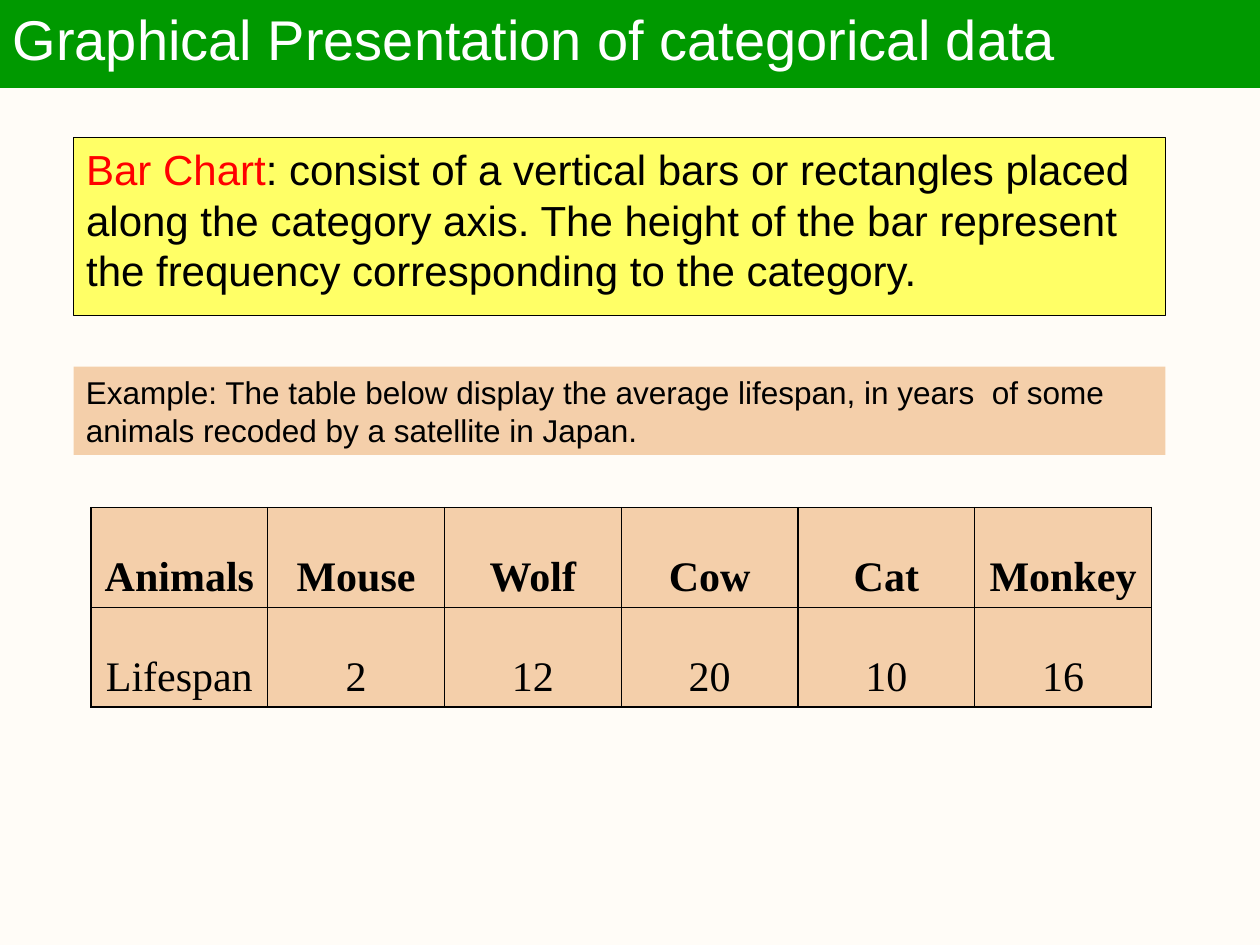
from pptx import Presentation
from pptx.dml.color import RGBColor
from pptx.enum.shapes import MSO_SHAPE
from pptx.enum.text import MSO_ANCHOR, MSO_AUTO_SIZE, PP_ALIGN
from pptx.oxml.ns import qn
from pptx.util import Pt
from lxml import etree

RECT = MSO_SHAPE.RECTANGLE
TOP, MIDDLE, BOTTOM = MSO_ANCHOR.TOP, MSO_ANCHOR.MIDDLE, MSO_ANCHOR.BOTTOM
LEFT, CENTER = PP_ALIGN.LEFT, PP_ALIGN.CENTER
FIXED = MSO_AUTO_SIZE.NONE

HUES = {
    "page": "FFFCF7",
    "band": "009900",
    "note": "FFFF66",
    "sand": "F4CFAA",
    "key": "FF0000",
    "ink": "000000",
    "white": "FFFFFF",
}
ROWS = [
    ["Animals", "Mouse", "Wolf", "Cow", "Cat", "Monkey"],
    ["Lifespan", "2", "12", "20", "10", "16"],
]


def hue(name):
    return RGBColor.from_string(HUES[name])


def paint(part, name):
    part.fill.solid()
    part.fill.fore_color.rgb = hue(name)


def place(shape, box):
    shape.left, shape.top, shape.width, shape.height = map(Pt, box)


def write(para, text, size=24, face="Arial", color="ink", bold=False,
          align=LEFT, space=1.0):
    para.alignment = align
    para.line_spacing = space
    para.space_before = Pt(0)
    run = para.add_run()
    run.text = text
    font = run.font
    font.size, font.name, font.bold = Pt(size), face, bold
    font.color.rgb = hue(color)


def frame(shape, anchor):
    text = shape.text_frame
    text.word_wrap = True
    text.auto_size = FIXED
    text.vertical_anchor = anchor
    return text.paragraphs[0]


def edge(cell, side, width):
    line = etree.SubElement(cell._tc.get_or_add_tcPr(), qn("a:" + side),
                            w=str(Pt(width)))
    fill = etree.SubElement(line, qn("a:solidFill"))
    etree.SubElement(fill, qn("a:srgbClr"), val=HUES["ink"])


def add_title(slide, box):
    title = slide.shapes.title
    place(title, box)
    paint(title, "band")
    title.line.color.rgb = hue("band")
    title.line.width = Pt(0.75)
    write(frame(title, MIDDLE), "Graphical Presentation of categorical data",
          size=32, color="white", space=0.9)


def add_note(slide, box):
    note = slide.placeholders[1]
    place(note, box)
    paint(note, "note")
    note.line.color.rgb = hue("ink")
    note.line.width = Pt(0.75)
    para = frame(note, TOP)
    write(para, "Bar Chart", color="key")
    write(para, ": consist of a vertical bars or rectangles placed along the "
          "category axis. The height of the bar represent the frequency "
          "corresponding to the category.")


def add_case(slide, box):
    case = slide.shapes.add_shape(RECT, *map(Pt, box))
    case.shadow.inherit = False
    paint(case, "sand")
    case.line.fill.background()
    write(frame(case, TOP), "Example: The table below display the average "
          "lifespan, in years  of some animals recoded by a satellite in "
          "Japan.", size=18)


def add_grid(slide, box):
    high, wide = len(ROWS), len(ROWS[0])
    grid = slide.shapes.add_table(high, wide, *map(Pt, box)).table
    grid.horz_banding = False
    for col in grid.columns:
        col.width = Pt(box[2] / wide)
    for r, row in enumerate(ROWS):
        grid.rows[r].height = Pt(box[3] / high)
        for c, text in enumerate(row):
            cell = grid.cell(r, c)
            cell.vertical_anchor = BOTTOM
            write(cell.text_frame.paragraphs[0], text, face="Times New Roman",
                  bold=r == 0, align=CENTER)
            outer = {"lnL": c == 0, "lnR": c == wide - 1,
                     "lnT": r == 0, "lnB": r == high - 1}
            for side, out in outer.items():
                edge(cell, side, 1 if out else 0.75)
            paint(cell, "sand")


def main():
    deck = Presentation()
    deck.slide_width, deck.slide_height = Pt(720), Pt(540)
    slide = deck.slides.add_slide(deck.slide_layouts[0])
    paint(slide.background, "page")
    add_note(slide, (42, 78.5, 624, 102))
    add_grid(slide, (52, 290, 606, 114))
    add_case(slide, (42, 209.5, 624, 50.5))
    add_title(slide, (0, -1.5, 720, 51.5))
    deck.save("out.pptx")


if __name__ == "__main__":
    main()
